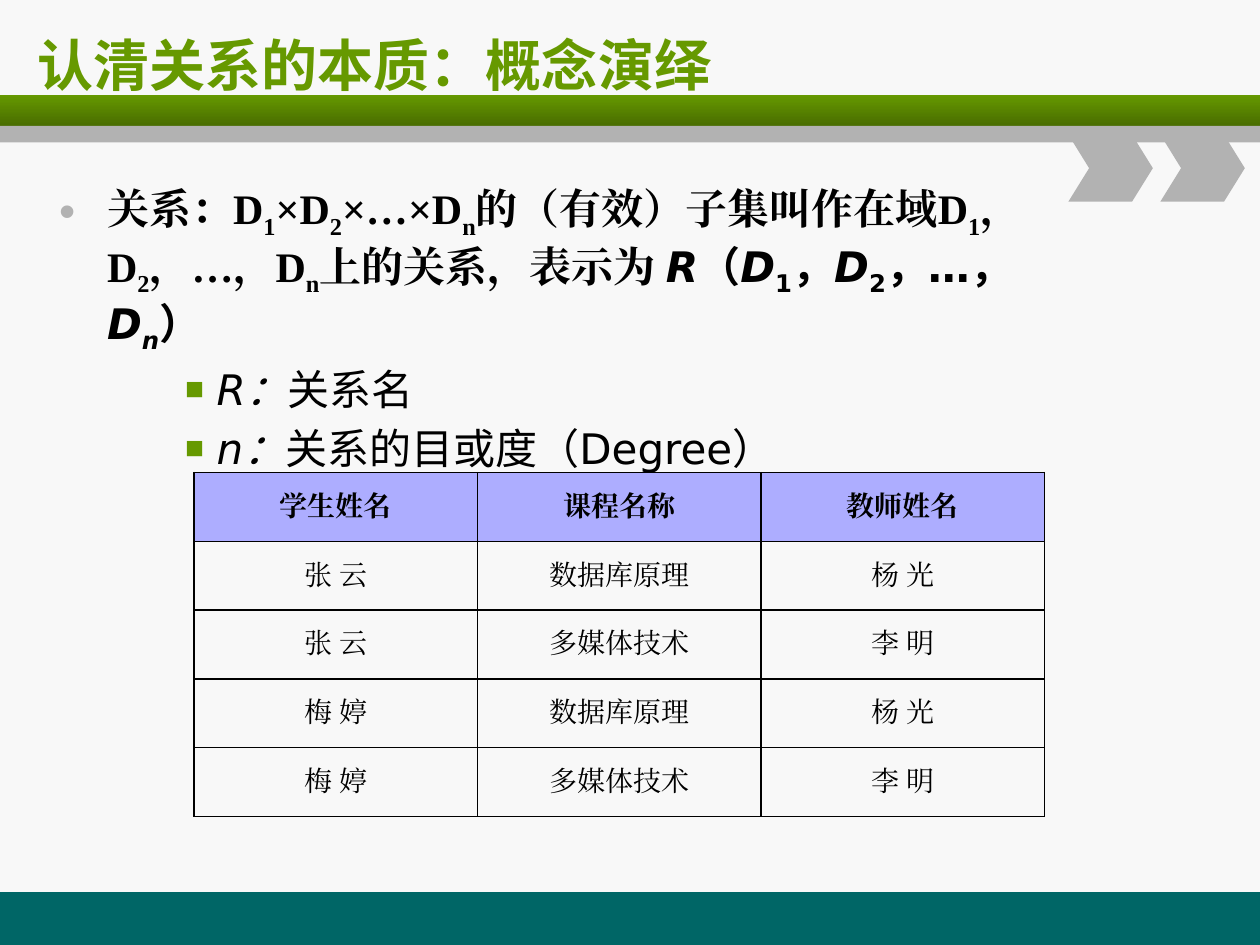
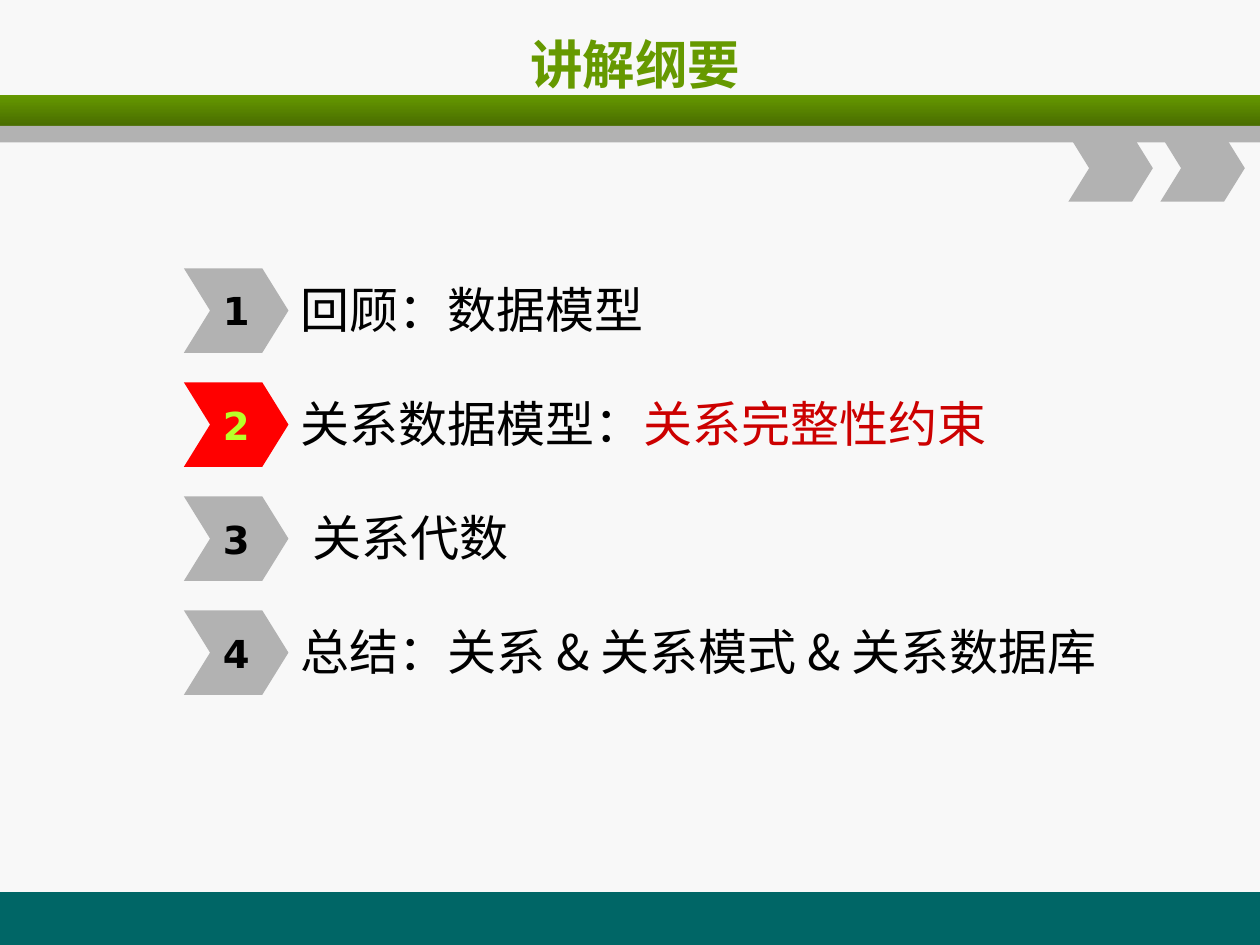
from dataclasses import dataclass
from lxml.etree import SubElement
from pptx import Presentation
from pptx.dml.color import RGBColor
from pptx.enum.shapes import MSO_SHAPE as Kind
from pptx.enum.text import MSO_ANCHOR as Anchor, MSO_AUTO_SIZE as Fit, PP_ALIGN as Align
from pptx.oxml import parse_xml
from pptx.oxml.ns import nsdecls, qn
from pptx.util import Inches, Pt


@dataclass(frozen=True)
class Theme:
    back: str = "F8F8F8"
    green: str = "669900"
    dark: str = "496D00"
    gray: str = "B2B2B2"
    teal: str = "006666"
    head: str = "ADADFF"
    black: str = "000000"
    red: str = "FF0000"
    lime: str = "B8FF29"
    crimson: str = "CC0000"
    serif: str = "Times New Roman"
    sans: str = "DejaVu Sans"
    han: str = "Noto Sans CJK SC"
    plain: str = "Noto Sans CJK JP"
    title: int = 32
    agenda: int = 30
    item: int = 28
    body: int = 24
    number: int = 22
    cell: int = 16


T = Theme()


def rgb(code):
    return RGBColor.from_string(code)


def add_run(para, text, size, face, color=T.black, bold=False, slant=False, sub=False):
    run = para.add_run()
    run.text = text
    font = run.font
    font.size, font.name, font.bold, font.italic = Pt(size), face, bold, slant
    font.color.rgb = rgb(color)
    props = run._r.get_or_add_rPr()
    SubElement(props, qn("a:ea")).set("typeface", face)
    if sub:
        props.set("baseline", "-25000")


def place(shape, box):
    shape.left, shape.top, shape.width, shape.height = map(Inches, box)


def add_block(slide, kind, box, color, adj=None):
    shape = slide.shapes.add_shape(kind, *map(Inches, box))
    shape.shadow.inherit = False
    shape.fill.solid()
    shape.fill.fore_color.rgb = rgb(color)
    shape.line.fill.background()
    if adj:
        shape.adjustments[0] = adj
    return shape


def set_bullet(para, mark, color, scale, left, hang):
    props = para._p.get_or_add_pPr()
    props.set("marL", str(Inches(left)))
    props.set("indent", str(-Inches(hang)))
    SubElement(SubElement(props, qn("a:buClr")), qn("a:srgbClr")).set("val", color)
    SubElement(props, qn("a:buSzPct")).set("val", str(scale * 1000))
    SubElement(props, qn("a:buFont")).set("typeface", "Arial")
    SubElement(props, qn("a:buChar")).set("char", mark)


# Shared bands, moved onto the master
def build_master(prs, slide):
    master = prs.slide_master
    master.background.fill.solid()
    master.background.fill.fore_color.rgb = rgb(T.back)
    foot = add_block(slide, Kind.RECTANGLE, (0, 7.08, 10, 0.42), T.teal)
    band = add_block(slide, Kind.RECTANGLE, (0, 0.75, 10, 0.25), T.green)
    band.fill.gradient()
    band.fill.gradient_angle = 270
    for stop, color in zip(band.fill.gradient_stops, (T.green, T.dark)):
        stop.color.rgb = rgb(color)
    strip = add_block(slide, Kind.RECTANGLE, (0, 1, 10, 0.13), T.gray)
    marks = [add_block(slide, Kind.CHEVRON, (left, 1.07, 0.67, 0.53), T.gray, 0.31)
             for left in (8.48, 9.21)]
    for i, shape in enumerate((foot, band, strip, *marks)):
        shape.element.nvSpPr.cNvPr.set("id", str(100 + i))
        master.shapes.element.insert(2 + i, shape.element)


def set_title(slide, box, text, size, face, align):
    title = slide.shapes.title
    place(title, box)
    frame = title.text_frame
    frame.auto_size, frame.vertical_anchor = Fit.NONE, Anchor.MIDDLE
    para = frame.paragraphs[0]
    para.alignment = align
    add_run(para, text, size, face, T.green, bold=True)


# Definition list: each part is text and its style letters (i slant, s subscript)
SERIF = [("关系：D", ""), ("1", "s"), ("×D", ""), ("2", "s"), ("×…×D", ""), ("n", "s"),
         ("的（有效）子集叫作在域D", ""), ("1", "s"), ("，D", ""), ("2", "s"),
         ("，…，D", ""), ("n", "s"), ("上的关系，表示为 ", "")]
SANS = [("R", "i"), ("（", ""), ("D", "i"), ("1", "s"), ("，", ""), ("D", "i"), ("2", "s"),
        ("，…，", ""), ("D", "i"), ("n", "is"), ("）", "")]
NOTES = [("R：", "关系名"), ("n：", "关系的目或度（Degree）")]


def fill_body(body, box):
    place(body, box)
    frame = body.text_frame
    frame.auto_size = Fit.NONE
    para = frame.paragraphs[0]
    para.space_before = Pt(0)
    set_bullet(para, "•", T.gray, 110, 0.38, 0.38)
    for parts, face in ((SERIF, T.serif), (SANS, T.sans)):
        for text, style in parts:
            add_run(para, text, T.body, face, bold=True, slant="i" in style, sub="s" in style)
    for sign, text in NOTES:
        para = frame.add_paragraph()
        para.level, para.alignment, para.space_before = 2, Align.JUSTIFY, Pt(5)
        set_bullet(para, "■", T.green, 75, 1.25, 0.25)
        add_run(para, sign, T.body, T.sans, slant=True)
        add_run(para, text, T.body, T.sans)


# Course table
ROWS = [("学生姓名", "课程名称", "教师姓名"),
        ("张 云", "数据库原理", "杨 光"),
        ("张 云", "多媒体技术", "李 明"),
        ("梅 婷", "数据库原理", "杨 光"),
        ("梅 婷", "多媒体技术", "李 明")]


def set_border(cell):
    props = cell._tc.get_or_add_tcPr()
    for i, side in enumerate("LRTB"):
        props.insert(i, parse_xml(
            f'<a:ln{side} {nsdecls("a")} w="12700"><a:solidFill>'
            f'<a:srgbClr val="{T.black}"/></a:solidFill></a:ln{side}>'))


def add_grid(slide, box):
    table = slide.shapes.add_table(len(ROWS), len(ROWS[0]), *map(Inches, box)).table
    table.first_row = table.horz_banding = False
    for r, row in enumerate(ROWS):
        for c, text in enumerate(row):
            cell = table.cell(r, c)
            cell.vertical_anchor = Anchor.MIDDLE
            if r == 0:
                cell.fill.solid()
                cell.fill.fore_color.rgb = rgb(T.head)
            else:
                cell.fill.background()
            set_border(cell)
            para = cell.text_frame.paragraphs[0]
            para.alignment = Align.CENTER
            add_run(para, text, T.cell, T.serif, bold=r == 0)


def build_concept(slide):
    set_title(slide, (0.2, 0.17, 9.55, 0.67), "认清关系的本质：概念演绎",
              T.title, T.han, Align.LEFT)
    fill_body(slide.placeholders[1], (0.37, 1.4, 8.49, 2.17))
    add_grid(slide, (1.54, 3.75, 6.75, 2.73))


# Agenda: text, highlighted text, extra indent
ITEMS = [("回顾：数据模型", "", 0),
         ("关系数据模型：", "关系完整性约束", 0),
         ("关系代数", "", 0.09),
         ("总结：关系 & 关系模式 & 关系数据库", "", 0)]


def add_item(slide, left, top, number, text, accent, indent):
    mark = add_block(slide, Kind.CHEVRON, (left, top, 0.83, 0.67),
                     T.red if accent else T.gray, 0.31)
    frame = mark.text_frame
    frame.word_wrap, frame.vertical_anchor = False, Anchor.MIDDLE
    para = frame.paragraphs[0]
    para.alignment = Align.CENTER
    add_run(para, str(number), T.number, T.sans, T.lime if accent else T.black, bold=True)

    label = slide.shapes.add_textbox(*map(Inches, (left + 0.83, top + 0.03, 7.2, 0.58)))
    frame = label.text_frame
    frame.word_wrap, frame.vertical_anchor = True, Anchor.MIDDLE
    frame.margin_left = Inches(0.1 + indent)
    para = frame.paragraphs[0]
    add_run(para, text, T.item, T.plain)
    if accent:
        add_run(para, accent, T.item, T.plain, T.crimson)


def build_agenda(slide):
    set_title(slide, (0.54, 0.17, 9, 0.67), "讲解纲要", T.agenda, T.sans, Align.CENTER)
    left, top, pitch = 1.46, 2.13, 0.905
    for i, item in enumerate(ITEMS):
        add_item(slide, left, top + i * pitch, i + 1, *item)


def main():
    prs = Presentation()
    prs.slide_width, prs.slide_height = Inches(10), Inches(7.5)
    concept = prs.slides.add_slide(prs.slide_layouts[1])
    build_master(prs, concept)
    build_concept(concept)
    build_agenda(prs.slides.add_slide(prs.slide_layouts[5]))
    prs.save("out.pptx")


if __name__ == "__main__":
    main()
